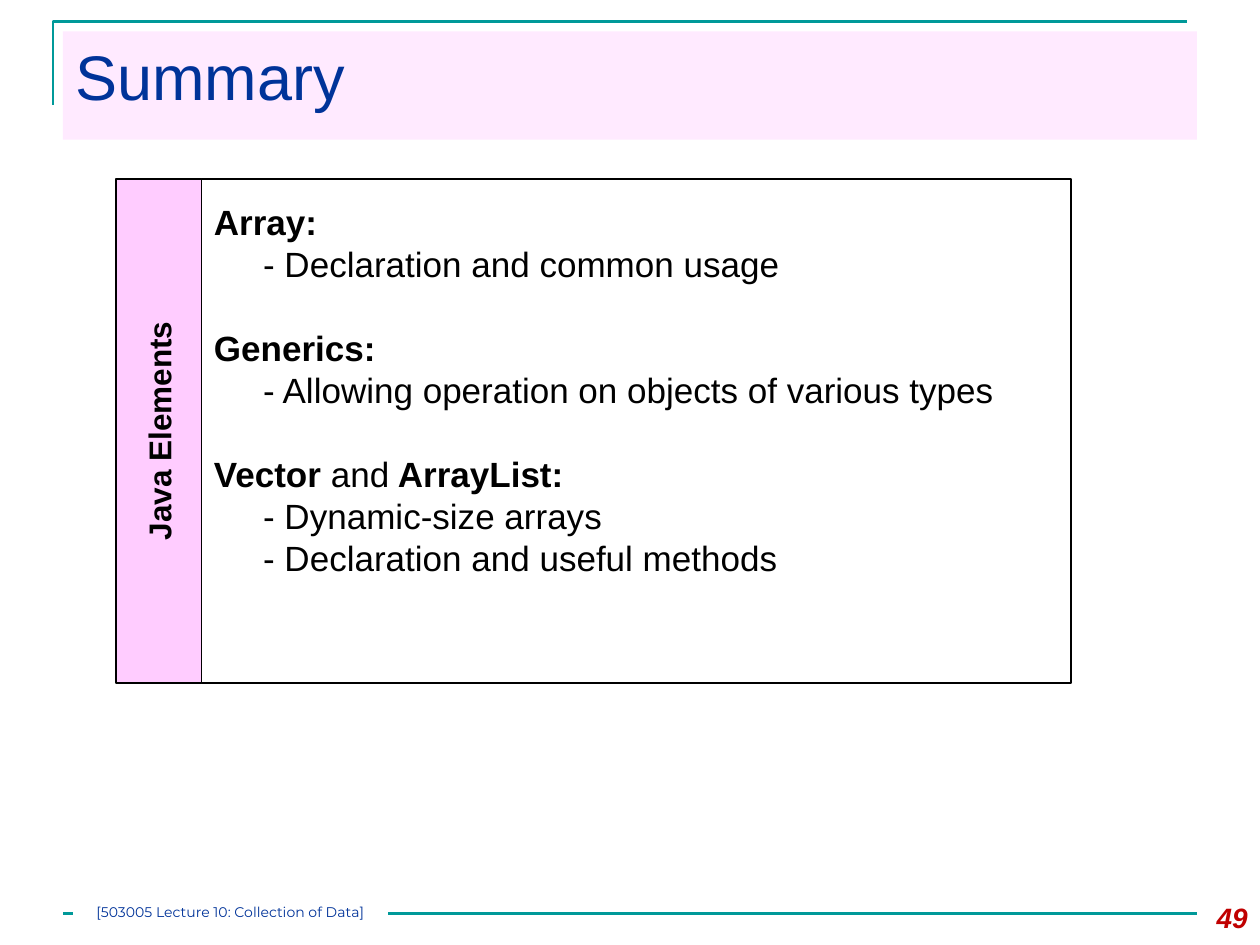
import pptx
import pptx.util
import pptx.dml.color
import pptx.enum.shapes
import pptx.enum.text
import pptx.oxml.ns
import lxml.etree

Inches = pptx.util.Inches
Pt = pptx.util.Pt
RGBColor = pptx.dml.color.RGBColor
ALIGN = pptx.enum.text.PP_ALIGN
ANCHOR = pptx.enum.text.MSO_ANCHOR

TEAL = RGBColor(0x00, 0x99, 0x99)
PINK = RGBColor(0xFF, 0xCC, 0xFF)
NAVY = RGBColor(0x00, 0x33, 0x99)
RED = RGBColor(0xC0, 0x00, 0x00)
BLACK = RGBColor(0x00, 0x00, 0x00)
WHITE = RGBColor(0xFF, 0xFF, 0xFF)

TITLE_FONT = {"name": "Arial", "size": Pt(36), "bold": False}
NUMBER_FONT = {"name": "Arial", "size": Pt(16), "bold": True, "italic": True}
LABEL_FONT = {"name": "Arial", "size": Pt(18), "bold": True}
BODY_FONT = {"name": "Arial", "size": Pt(20)}
FOOTER_FONT = {"name": "Montserrat", "size": Pt(8)}

TOPICS = [
    ([("Array:", True)], ["- Declaration and common usage"]),
    ([("Generics:", True)], ["- Allowing operation on objects of various types"]),
    ([("Vector ", True), ("and", False), (" ArrayList:", True)],
     ["- Dynamic-size arrays", "- Declaration and useful methods"]),
]


def apply(target, values):
    """Set each named attribute on the target."""
    for name, value in values.items():
        setattr(target, name, value)


def add_box(slide, left, top, width, height, fill=None, line=None):
    """Add a flat rectangle with optional fill and outline."""
    box = slide.shapes.add_shape(
        pptx.enum.shapes.MSO_SHAPE.RECTANGLE,
        Inches(left), Inches(top), Inches(width), Inches(height))
    box.shadow.inherit = False
    if fill is None:
        box.fill.background()
    else:
        box.fill.solid()
        box.fill.fore_color.rgb = fill
    if line is None:
        box.line.fill.background()
    else:
        box.line.color.rgb = line
        box.line.width = Pt(1)
    apply(box.text_frame, {"word_wrap": True, "vertical_anchor": ANCHOR.TOP})
    return box


def add_run(paragraph, text, font, color):
    """Append one formatted run to a paragraph."""
    run = paragraph.add_run()
    run.text = text
    apply(run.font, font)
    run.font.color.rgb = color


def write_line(box, text, font, color, alignment):
    """Write a single paragraph into a box."""
    paragraph = box.text_frame.paragraphs[0]
    paragraph.alignment = alignment
    add_run(paragraph, text, font, color)


def add_title(slide, left, top, width, height):
    """Draw the corner rule and the tinted title band."""
    corner = slide.shapes.build_freeform(Inches(left - 0.08), Inches(top + 0.58))
    corner.add_line_segments(
        [(Inches(left - 0.08), Inches(top - 0.08)),
         (Inches(left + width - 0.08), Inches(top - 0.08))], close=False)
    rule = corner.convert_to_shape()
    rule.shadow.inherit = False
    rule.fill.background()
    rule.line.color.rgb = TEAL
    rule.line.width = Pt(1.5)

    band = add_box(slide, left, top, width, height, PINK)
    tint = band.fill._xPr.find(".//" + pptx.oxml.ns.qn("a:srgbClr"))
    lxml.etree.SubElement(tint, pptx.oxml.ns.qn("a:alpha"), val="40000")
    write_line(band, "Summary", TITLE_FONT, NAVY, ALIGN.LEFT)


def add_topics(slide, left, top, width, height, label_width=0.68):
    """Draw the rotated label beside the list of topics."""
    label = add_box(slide, left, top, label_width, height, PINK, BLACK)
    label.text_frame.vertical_anchor = ANCHOR.MIDDLE
    label.text_frame._txBody.bodyPr.set("vert", "vert270")
    write_line(label, "Java Elements", LABEL_FONT, BLACK, ALIGN.CENTER)

    panel = add_box(slide, left + label_width, top, width - label_width, height,
                    line=BLACK)
    frame = panel.text_frame
    frame.margin_top = Inches(0.17)
    for index, (heading, points) in enumerate(TOPICS):
        paragraph = frame.add_paragraph() if index else frame.paragraphs[0]
        apply(paragraph, {"alignment": ALIGN.LEFT, "line_spacing": Pt(24)})
        if index:
            paragraph.space_before = Pt(24)
        for text, bold in heading:
            add_run(paragraph, text, {**BODY_FONT, "bold": bold}, BLACK)
        for point in points:
            paragraph = frame.add_paragraph()
            apply(paragraph, {"alignment": ALIGN.LEFT, "line_spacing": Pt(24)})
            paragraph._p.get_or_add_pPr().set("marL", str(Inches(0.39)))
            add_run(paragraph, point, {**BODY_FONT, "bold": False}, BLACK)


def add_footer(slide, left, top, width):
    """Draw the footer rule, lecture name and slide number."""
    rule = slide.shapes.add_connector(
        pptx.enum.shapes.MSO_CONNECTOR.STRAIGHT,
        Inches(left), Inches(top), Inches(left + width), Inches(top))
    rule.line.color.rgb = TEAL
    rule.line.width = Pt(1.5)
    lxml.etree.SubElement(rule._element.spPr, pptx.oxml.ns.qn("a:effectLst"))

    number = slide.shapes.add_textbox(
        Inches(left + width - 0.17), Inches(top - 0.15), Inches(0.67), Inches(0.4))
    number.text_frame.word_wrap = True
    write_line(number, "49", NUMBER_FONT, RED, ALIGN.RIGHT)

    lecture = add_box(slide, left + 0.08, top - 0.08, 2.5, 0.17, WHITE)
    apply(lecture.text_frame, dict.fromkeys(
        ["margin_left", "margin_top", "margin_right", "margin_bottom"], 0))
    write_line(lecture, "[503005 Lecture 10: Collection of Data]",
               FOOTER_FONT, NAVY, ALIGN.CENTER)


def main():
    """Build the summary slide and save it."""
    deck = pptx.Presentation()
    apply(deck, {"slide_width": Inches(10), "slide_height": Inches(7.5)})
    slide = deck.slides.add_slide(deck.slide_layouts[6])
    add_title(slide, 0.5, 0.25, 9, 0.86)
    add_topics(slide, 0.92, 1.42, 7.58, 4)
    add_footer(slide, 0.5, 7.25, 9)
    deck.save("out.pptx")


if __name__ == "__main__":
    main()
